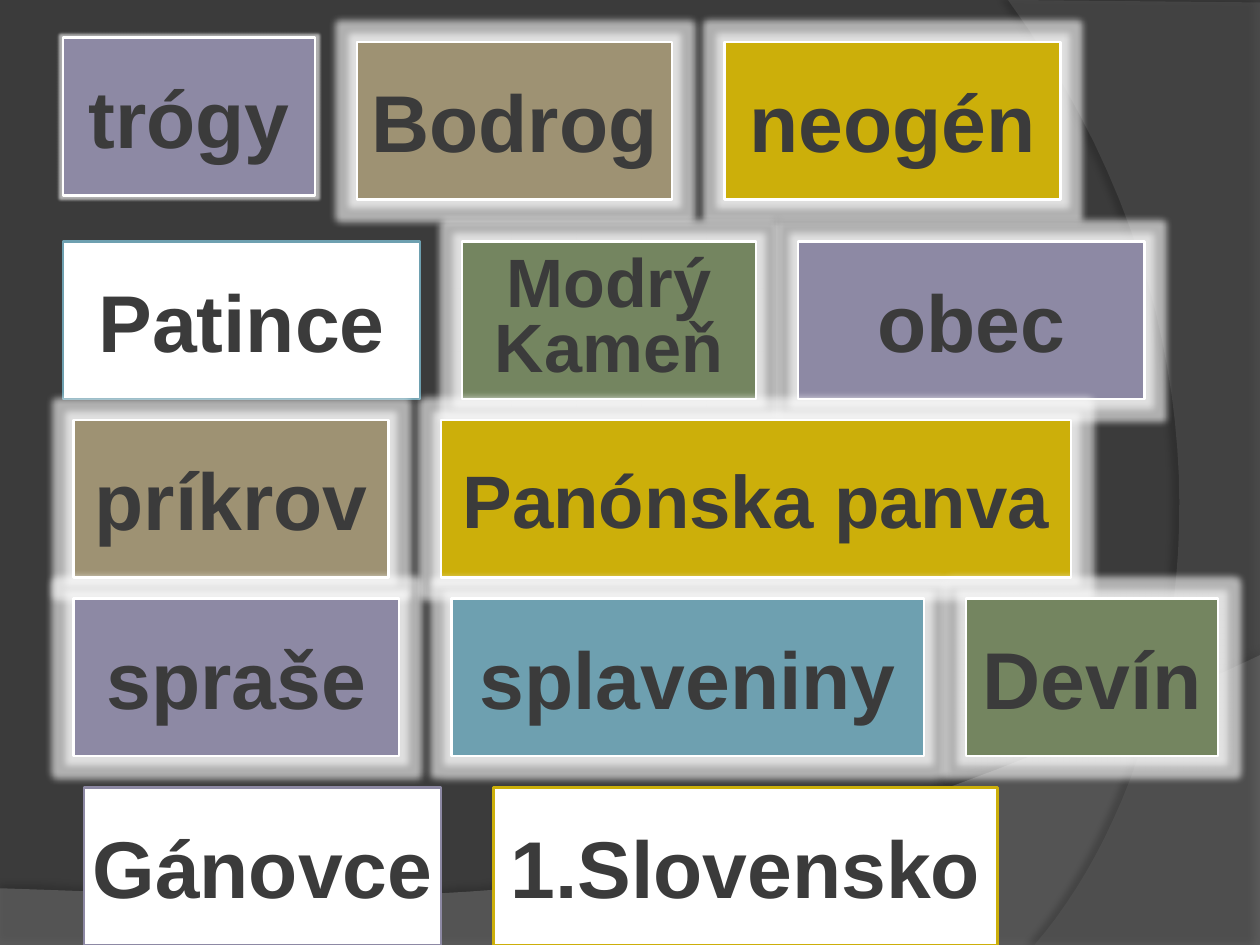
from lxml import etree
from pptx import Presentation
from pptx.dml.color import RGBColor
from pptx.enum.shapes import MSO_SHAPE
from pptx.enum.text import MSO_ANCHOR, MSO_AUTO_SIZE, PP_ALIGN
from pptx.oxml.ns import qn
from pptx.util import Inches, Pt

RECTANGLE = MSO_SHAPE.RECTANGLE
MIDDLE = MSO_ANCHOR.MIDDLE
CENTER = PP_ALIGN.CENTER
NO_AUTOFIT = MSO_AUTO_SIZE.NONE

DARK, WHITE = "3B3B3B", "FFFFFF"
PURPLE, TAN, GOLD = "8D89A4", "9E9273", "CCAF0A"
GREEN, BLUE = "748560", "6EA0B0"


def set_color(color_format, value):
    color_format.rgb = RGBColor.from_string(value)


def add_effect(shape, name, color, alpha, **attributes):
    """Put one effect, such as a glow or a shadow, on a shape."""
    shape.shadow.inherit = False
    effects = shape._element.spPr.find(qn("a:effectLst"))
    effect = etree.SubElement(effects, qn("a:" + name))
    for key, value in attributes.items():
        effect.set(key, str(value))
    color_element = etree.SubElement(effect, qn("a:srgbClr"), val=color)
    etree.SubElement(color_element, qn("a:alpha"), val=str(alpha * 1000))


presentation = Presentation()
presentation.slide_width = Inches(10)
presentation.slide_height = Inches(7.5)
slide = presentation.slides.add_slide(presentation.slide_layouts[5])
slide.background.fill.solid()
set_color(slide.background.fill.fore_color, DARK)

# Background waves: corner points, then one cubic curve from the last corner
# corners, curve, fill, opacity, shadow opacity, shadow distance, direction
waves = [
    ([(0, 7.05), (0, 7.5), (10, 7.5), (10, 5.2)],
     [(5.59, 7.29), (3.91, 7.19), (0, 7.05)], "7F7F7F", 45, 35, 3.5, 270),
    ([(8, 0), (10, 0.02), (10, 7.5), (8.21, 7.5)],
     [(9.35, 6.19), (10.18, 3), (8, 0)], "5E5E5E", 40, 45, 4, 180),
]
STEPS = 40
for corners, curve, color, opacity, shadow, distance, direction in waves:
    controls = [corners[-1]] + curve
    points = list(corners)
    for step in range(1, STEPS):
        t = step / STEPS
        weights = [(1 - t) ** 3, 3 * t * (1 - t) ** 2, 3 * t * t * (1 - t), t ** 3]
        points.append(tuple(sum(w * p[axis] for w, p in zip(weights, controls))
                            for axis in (0, 1)))
    scaled = [(x * 1000, y * 1000) for x, y in points]
    builder = slide.shapes.build_freeform(*scaled[0], scale=Inches(1) / 1000)
    builder.add_line_segments(scaled[1:], close=True)
    wave = builder.convert_to_shape()
    wave.fill.solid()
    set_color(wave.fill.fore_color, color)
    fill_color = wave._element.spPr.find(qn("a:solidFill"))[0]
    etree.SubElement(fill_color, qn("a:alpha"), val=str(opacity * 1000))
    wave.line.fill.background()
    add_effect(wave, "outerShdw", "000000", shadow, blurRad=Pt(4),
               dist=Pt(distance), dir=direction * 60000, rotWithShape=0)

# The title is the first card and lies above the waves
title = slide.shapes.title
slide.shapes._spTree.append(title._element)

# Word cards on a grid of twelfths of an inch: left, width, text, fill, line, size
UNIT = Inches(1) / 12
CARD_HEIGHT = 15
rows = [
    (4, [(6, 24, "trógy", PURPLE, WHITE, 46),
         (34, 30, "Bodrog", TAN, WHITE, 46),
         (69, 32, "neogén", GOLD, WHITE, 46)]),
    (23, [(6, 34, "Patince", WHITE, BLUE, 46),
          (44, 28, "Modrý Kameň", GREEN, WHITE, 39.1),
          (76, 33, "obec", PURPLE, WHITE, 46)]),
    (40, [(7, 30, "príkrov", TAN, WHITE, 46),
          (42, 60, "Panónska panva", GOLD, WHITE, 42.5)]),
    (57, [(7, 31, "spraše", PURPLE, WHITE, 46),
          (43, 45, "splaveniny", BLUE, WHITE, 46),
          (92, 24, "Devín", GREEN, WHITE, 46)]),
    (75, [(8, 34, "Gánovce", WHITE, PURPLE, 46),
          (47, 48, "1.Slovensko", WHITE, GOLD, 46)]),
]
for top, cards in rows:
    for left, width, text, fill, line, size in cards:
        is_title = text == "trógy"
        card_top = top - 0.4 if is_title else top
        box = [round(n * UNIT) for n in (left, card_top, width, CARD_HEIGHT)]
        if is_title:
            card = title
            card.left, card.top, card.width, card.height = box
        else:
            card = slide.shapes.add_shape(RECTANGLE, *box)

        card.fill.solid()
        set_color(card.fill.fore_color, fill)
        set_color(card.line.color, line)
        card.line.width = Pt(1.5)
        if fill != WHITE:
            add_effect(card, "glow", WHITE, 60, rad=Pt(3 if is_title else 8))
        elif not is_title:
            card.shadow.inherit = False

        frame = card.text_frame
        frame.word_wrap = True
        frame.auto_size = NO_AUTOFIT
        frame.vertical_anchor = MIDDLE
        frame.margin_left = frame.margin_right = Inches(0.05)
        frame.margin_top = frame.margin_bottom = Inches(0.05)
        paragraph = frame.paragraphs[0]
        paragraph.alignment = CENTER
        if size == 39.1:
            paragraph.line_spacing = 0.8
        run = paragraph.add_run()
        run.text = text
        run.font.name = "Arial"
        run.font.size = Pt(size)
        run.font.bold = True
        set_color(run.font.color, DARK)

presentation.save("out.pptx")
